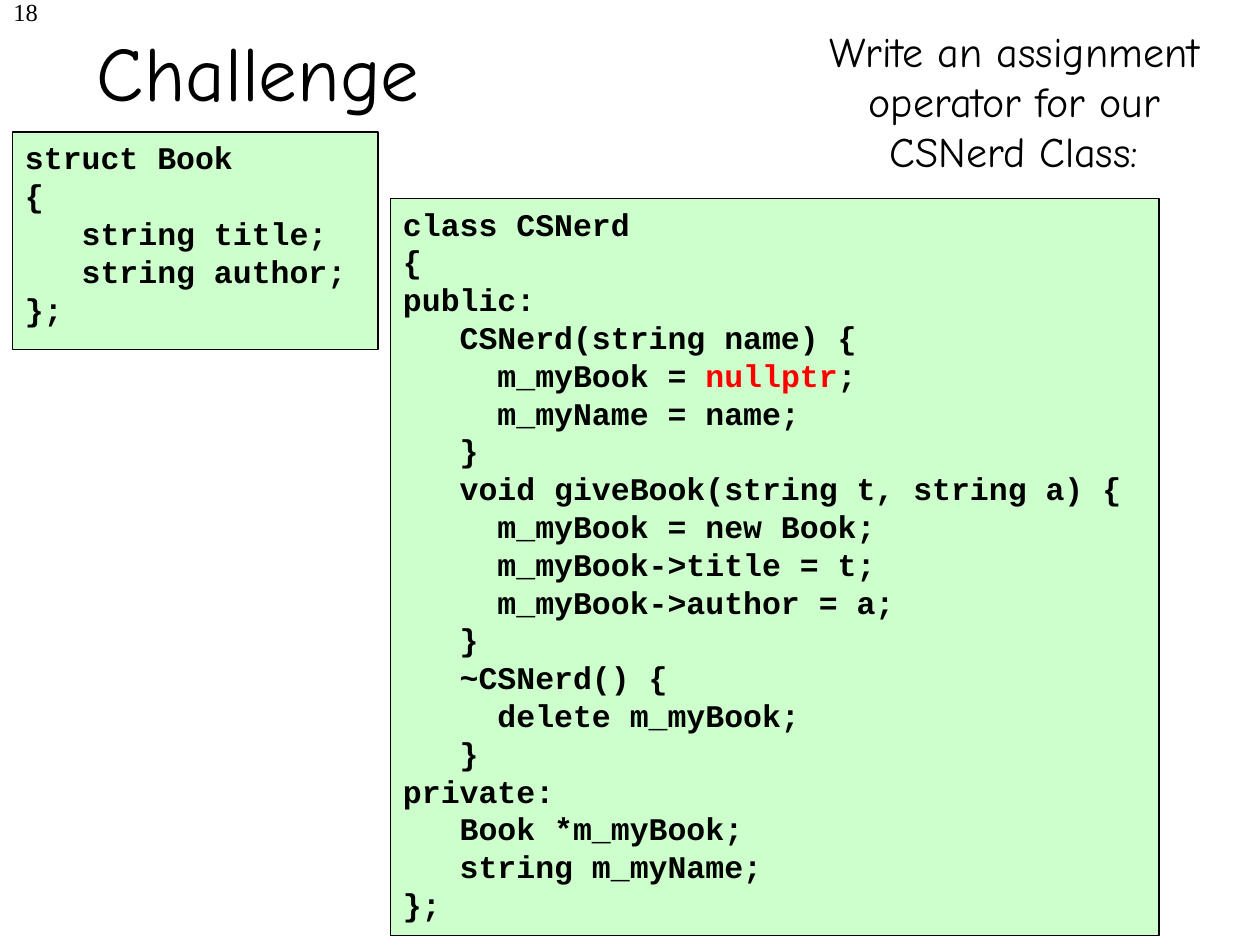
"""Build the Challenge slide: two code boxes and a task."""
from pptx import Presentation
from pptx.dml.color import RGBColor
from pptx.enum.shapes import MSO_SHAPE
from pptx.enum.text import MSO_ANCHOR, PP_ALIGN
from pptx.util import Inches, Pt

BLACK = RGBColor(0x00, 0x00, 0x00)
RED = RGBColor(0xFF, 0x00, 0x00)
GREEN = RGBColor(0xCC, 0xFF, 0xCC)
WIDE, HIGH = Inches(10), Inches(7.5)
CHAR = Pt(10.8)
HAND, CODE, SERIF = "Comic Neue", "Courier New", "Times New Roman"
KEY = "nullptr"

BOOK = """struct Book
{
   string title;
   string author;
};"""

NERD = """class CSNerd
{
public:
   CSNerd(string name) {
     m_myBook = nullptr;
     m_myName = name;
   }
   void giveBook(string t, string a) {
     m_myBook = new Book;
     m_myBook->title = t;
     m_myBook->author = a;
   }
   ~CSNerd() {
     delete m_myBook;
   }
private:
   Book *m_myBook;
   string m_myName;
};"""


def area(left, top, width, height):
    """Turn shares of the slide's size into lengths."""
    return (int(left * WIDE), int(top * HIGH),
            int(width * WIDE), int(height * HIGH))


def add_run(para, text, font, size, color=BLACK, bold=False):
    """Add one formatted run to a paragraph."""
    run = para.add_run()
    run.text = text
    run.font.name = font
    run.font.size = Pt(size)
    run.font.bold = bold
    run.font.color.rgb = color


def fill_text(shape, text, font, size, align):
    """Write one line of prose into a shape."""
    shape.text_frame.word_wrap = True
    para = shape.text_frame.paragraphs[0]
    para.alignment = align
    add_run(para, text, font, size)


def add_title(slide, text, place):
    """Move the title placeholder and write into it."""
    title = slide.shapes.title
    title.left, title.top, title.width, title.height = place
    title.text_frame.vertical_anchor = MSO_ANCHOR.MIDDLE
    fill_text(title, text, HAND, 44, PP_ALIGN.CENTER)


def add_note(slide, text, place, font, size, align):
    """Add a plain text box."""
    fill_text(slide.shapes.add_textbox(*place), text, font, size, align)


def add_line(para, line):
    """Write a line of code, indented by its depth, with the key word red."""
    text = line.lstrip()
    props = para._p.get_or_add_pPr()
    props.set("marL", str((len(line) - len(text)) * CHAR))
    props.set("indent", "0")
    para.alignment = PP_ALIGN.LEFT
    for part in text.partition(KEY):
        if part:
            add_run(para, part, CODE, 18, RED if part == KEY else BLACK, True)


def add_code(slide, code, place):
    """Add a green box that holds a listing."""
    box = slide.shapes.add_shape(MSO_SHAPE.RECTANGLE, *place)
    box.shadow.inherit = False
    box.fill.solid()
    box.fill.fore_color.rgb = GREEN
    box.line.color.rgb = BLACK
    box.line.width = Pt(1)
    frame = box.text_frame
    frame.word_wrap = True
    frame.vertical_anchor = MSO_ANCHOR.TOP
    for row, line in enumerate(code.splitlines()):
        para = frame.add_paragraph() if row else frame.paragraphs[0]
        add_line(para, line)


def main():
    """Build and save the slide."""
    deck = Presentation()
    deck.slide_width, deck.slide_height = WIDE, HIGH
    slide = deck.slides.add_slide(deck.slide_layouts[5])
    add_note(slide, "18", area(-0.17, -0.01, 0.21, 0.07),
             SERIF, 14, PP_ALIGN.RIGHT)
    add_title(slide, "Challenge", area(-0.22, -0.01, 0.85, 0.17))
    add_note(slide, "Write an assignment operator for our CSNerd Class:",
             area(0.63, 0.02, 0.35, 0.17), HAND, 24, PP_ALIGN.CENTER)
    add_code(slide, BOOK, area(0.01, 0.14, 0.29, 0.23))
    add_code(slide, NERD, area(0.31, 0.21, 0.61, 0.78))
    deck.save("out.pptx")


if __name__ == "__main__":
    main()
